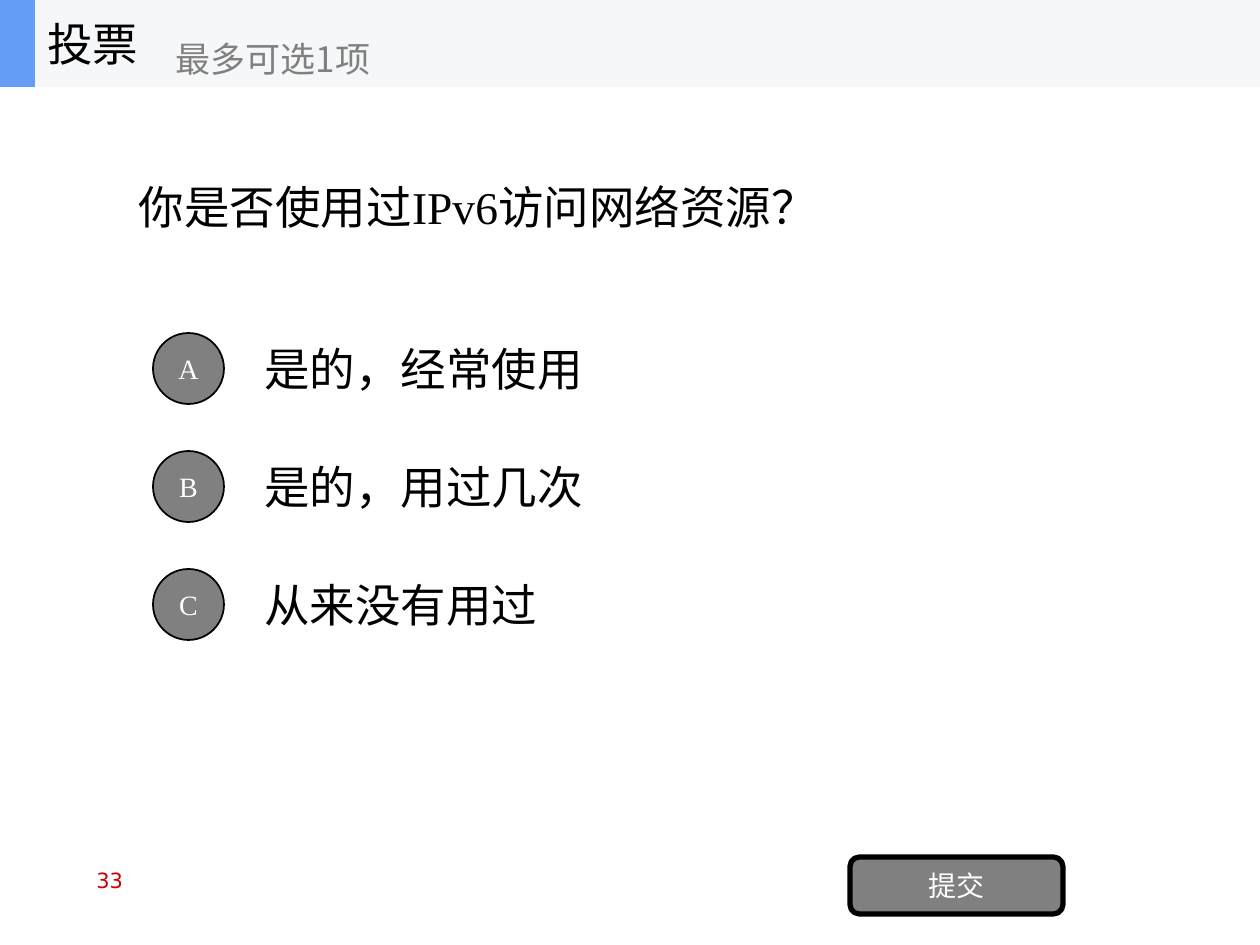
from pptx import Presentation
from pptx.dml.color import RGBColor
from pptx.enum.lang import MSO_LANGUAGE_ID as Language
from pptx.enum.shapes import MSO_SHAPE as Shape
from pptx.enum.text import MSO_ANCHOR as Anchor, MSO_AUTO_SIZE as AutoSize, PP_ALIGN as Align
from pptx.oxml.ns import qn
from pptx.util import Pt

PX = 914400 / 126
SERIF = "Times New Roman"
CJK = "Noto Sans CJK SC"


def place(shape, left, top, width, height, fill=None, line=None):
    """Position a shape in px; fill is a hex string, line a width in points."""
    shape.left, shape.top, shape.width, shape.height = (
        round(value * PX) for value in (left, top, width, height))
    if fill:
        shape.shadow.inherit = False
        shape.fill.solid()
        shape.fill.fore_color.rgb = RGBColor.from_string(fill)
        if line:
            shape.line.color.rgb = RGBColor.from_string("000000")
            shape.line.width = Pt(line)
        else:
            shape.line.fill.background()
    return shape


def write(shape, text, size, color="000000", font=SERIF, align=Align.LEFT, anchor=Anchor.MIDDLE):
    frame = shape.text_frame
    frame.word_wrap = True
    frame.auto_size = AutoSize.NONE
    frame.vertical_anchor = anchor
    paragraph = frame.paragraphs[0]
    paragraph.alignment = align
    run = paragraph.add_run()
    run.text = text
    run.font.size = Pt(size)
    run.font.name = font
    run.font.language_id = Language.SIMPLIFIED_CHINESE
    run.font.color.rgb = RGBColor.from_string(color)
    latin = run.font._element.find(qn("a:latin"))
    east_asian = latin.makeelement(qn("a:ea"), {"typeface": CJK})
    latin.addnext(east_asian)


presentation = Presentation()
presentation.slide_width = round(1260 * PX)
presentation.slide_height = round(945 * PX)
slide = presentation.slides.add_slide(presentation.slide_layouts[5])
shapes = slide.shapes

# Question
question = place(shapes.title, 126, 59, 1008, 295)
write(question, "你是否使用过IPv6访问网络资源？", 26)

# Page number
page_number = place(shapes.add_textbox(0, 0, 0, 0), 84, 861, 273, 66)
write(page_number, "33", 12, "CC0000", "DejaVu Sans", anchor=Anchor.TOP)

# Answer options
options = [("A", "是的，经常使用"), ("B", "是的，用过几次"), ("C", "从来没有用过")]
for row, (letter, answer) in enumerate(options):
    center = 368 + 118 * row
    answer_box = place(shapes.add_textbox(0, 0, 0, 0), 252, center - 44, 882, 88)
    write(answer_box, answer, 26)
    badge = place(shapes.add_shape(Shape.OVAL, 0, 0, 0, 0), 153, center - 35, 71, 71, "808080", 1)
    write(badge, letter, 16, "FFFFFF", align=Align.CENTER)

# Submit button
button = place(shapes.add_shape(Shape.ROUNDED_RECTANGLE, 0, 0, 0, 0), 850, 857, 213, 57, "808080", 3)
write(button, "提交", 16, "FFFFFF", align=Align.CENTER)

# Header band
place(shapes.add_shape(Shape.RECTANGLE, 0, 0, 0, 0), 0, 0, 1260, 87, "F6F7F8")
hint = place(shapes.add_textbox(0, 0, 0, 0), 163, 15, 350, 87)
write(hint, "最多可选1项", 20, "808080", CJK)
place(shapes.add_shape(Shape.RECTANGLE, 0, 0, 0, 0), 0, 0, 35, 87, "639EF4")
heading = place(shapes.add_textbox(0, 0, 0, 0), 35, 0, 175, 87)
write(heading, "投票", 26)

presentation.save("out.pptx")
